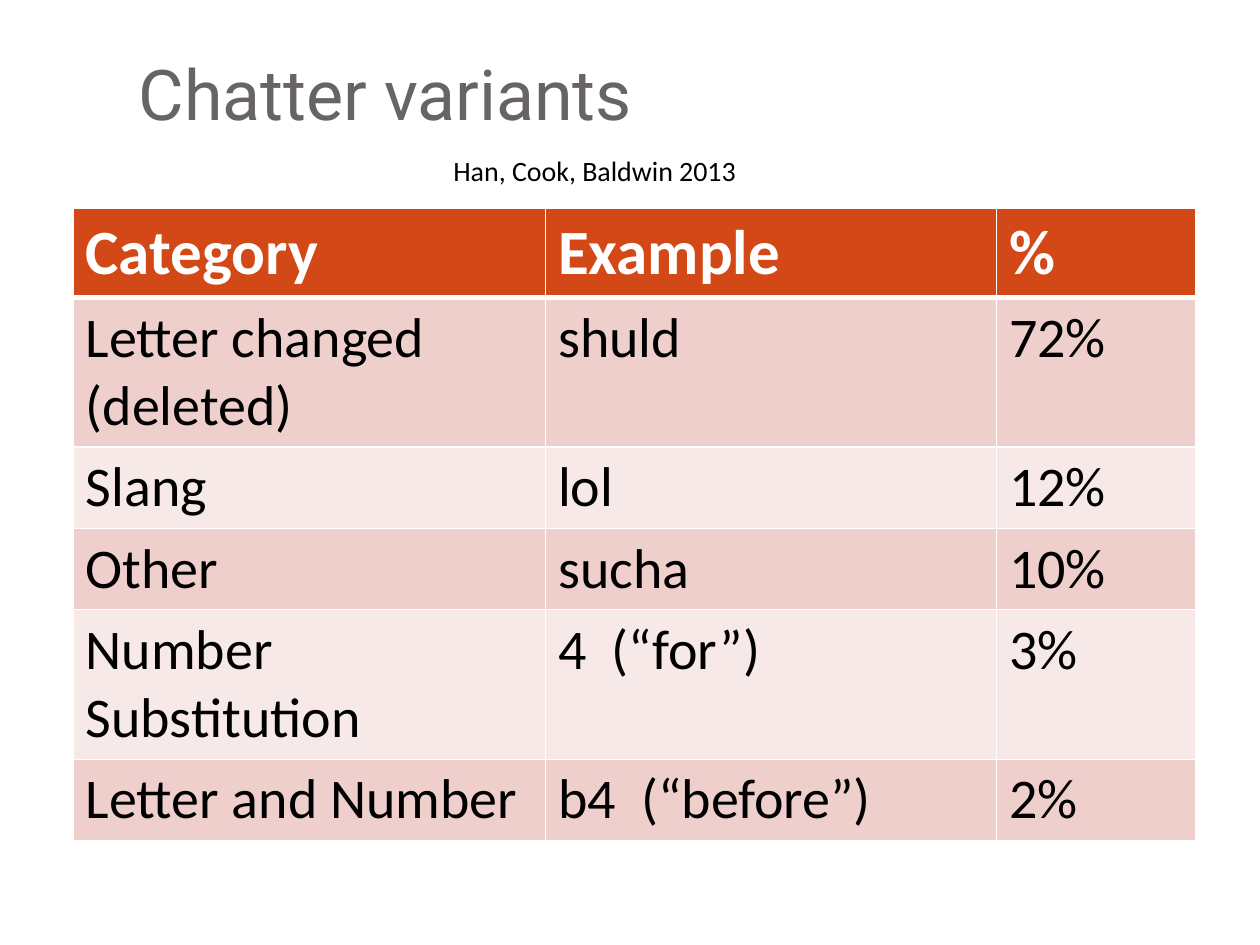
"""Build a slide with a table of the kinds of spelling variants."""
import pptx
import pptx.dml.color
import pptx.enum.text
import pptx.oxml
import pptx.oxml.ns
import pptx.util

ROWS = [
    ("Category", "Example", "%"),
    ("Letter changed (deleted)", "shuld", "72%"),
    ("Slang", "lol", "12%"),
    ("Other", "sucha", "10%"),
    ("Number Substitution", "4  (“for”)", "3%"),
    ("Letter and Number", "b4  (“before”)", "2%"),
]
WIDTHS = [7.5, 7.16, 3.16]
HEAD, ONE, TWO = 1.39, 1.29, 2.37
HEIGHTS = [HEAD, TWO, ONE, ONE, TWO, ONE]


def tint(code):
    return pptx.dml.color.RGBColor.from_string(code)


def write(frame, text, size=32, color="000000", face="Calibri", bold=False):
    frame.text = text
    para = frame.paragraphs[0]
    para.alignment = pptx.enum.text.PP_ALIGN.LEFT
    font = para.runs[0].font
    font.name, font.size, font.bold = face, pptx.util.Pt(size), bold
    font.color.rgb = tint(color)


def edge(cell, side, width, color="FFFFFF"):
    space = pptx.oxml.ns.nsdecls("a")
    line = pptx.oxml.parse_xml(
        f'<a:ln{side} {space} w="{pptx.util.Pt(width)}"><a:solidFill>'
        f'<a:srgbClr val="{color}"/></a:solidFill></a:ln{side}>'
    )
    cell._tc.get_or_add_tcPr().append(line)


class Deck:
    cols, rows = 20, 15
    head, bands = "D34817", ("F7E9E8", "EFCFCC")

    def __init__(self, wide=10, high=7.5):
        self.file = pptx.Presentation()
        self.file.slide_width = pptx.util.Inches(wide)
        self.file.slide_height = pptx.util.Inches(high)
        self.slide = self.file.slides.add_slide(self.file.slide_layouts[5])

    def across(self, count):
        return round(self.file.slide_width * count / self.cols)

    def down(self, count):
        return round(self.file.slide_height * count / self.rows)

    def place(self, left, top, width, height):
        return self.across(left), self.down(top), self.across(width), self.down(height)

    def title(self, text, *spot):
        shape = self.slide.shapes.title
        shape.left, shape.top, shape.width, shape.height = self.place(*spot)
        frame = shape.text_frame
        frame.vertical_anchor = pptx.enum.text.MSO_ANCHOR.BOTTOM
        frame.auto_size = pptx.enum.text.MSO_AUTO_SIZE.NONE
        frame.margin_bottom = pptx.util.Inches(0.1)
        write(frame, text, 40, "696464", "Roboto")

    def note(self, text, *spot):
        frame = self.slide.shapes.add_textbox(*self.place(*spot)).text_frame
        frame.word_wrap = False
        frame.auto_size = pptx.enum.text.MSO_AUTO_SIZE.SHAPE_TO_FIT_TEXT
        write(frame, text, 16)

    def table(self, data, left, top, widths, heights):
        spot = self.place(left, top, sum(widths), sum(heights))
        grid = self.slide.shapes.add_table(len(data), len(widths), *spot).table
        for col, width in zip(grid.columns, widths):
            col.width = self.across(width)
        for row, height in zip(grid.rows, heights):
            row.height = self.down(height)
        for r, texts in enumerate(data):
            for c, text in enumerate(texts):
                self.cell(grid.cell(r, c), r, text)

    def cell(self, cell, row, text):
        for side in "LRTB":
            thick = (row == 0 and side == "B") or (row == 1 and side == "T")
            edge(cell, side, 3 if thick else 1)
        cell.fill.solid()
        cell.fill.fore_color.rgb = tint(self.bands[row % 2] if row else self.head)
        style = {} if row else {"size": 36, "color": "FFFFFF", "bold": True}
        write(cell.text_frame, text, **style)


def main():
    deck = Deck()
    deck.title("Chatter variants", 2, 0.6, 17, 1.74)
    deck.table(ROWS, 1.16, 3.3, WIDTHS, HEIGHTS)
    deck.note("Han, Cook, Baldwin 2013", 7, 2.34, 5.1, 0.74)
    deck.file.save("out.pptx")


if __name__ == "__main__":
    main()
